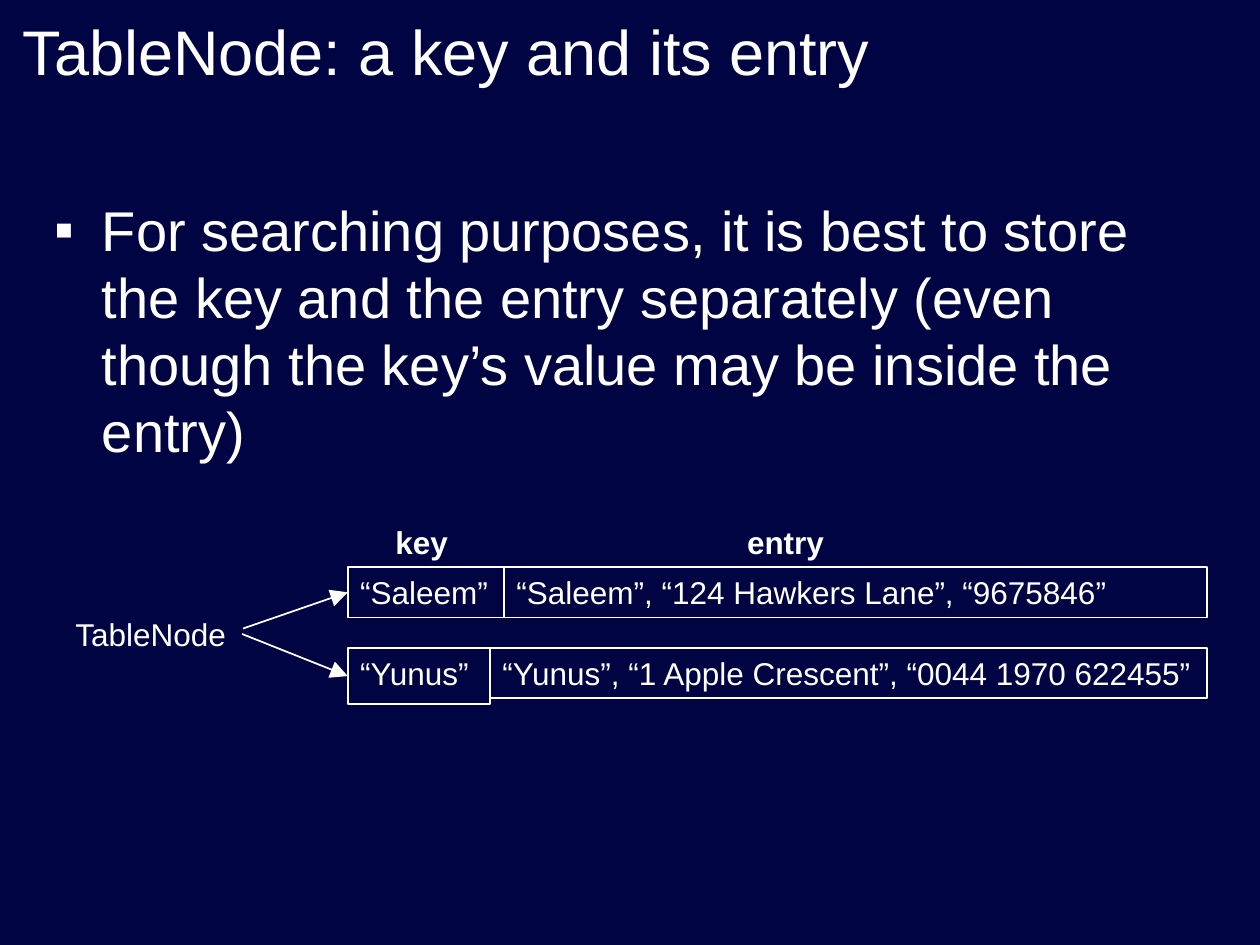
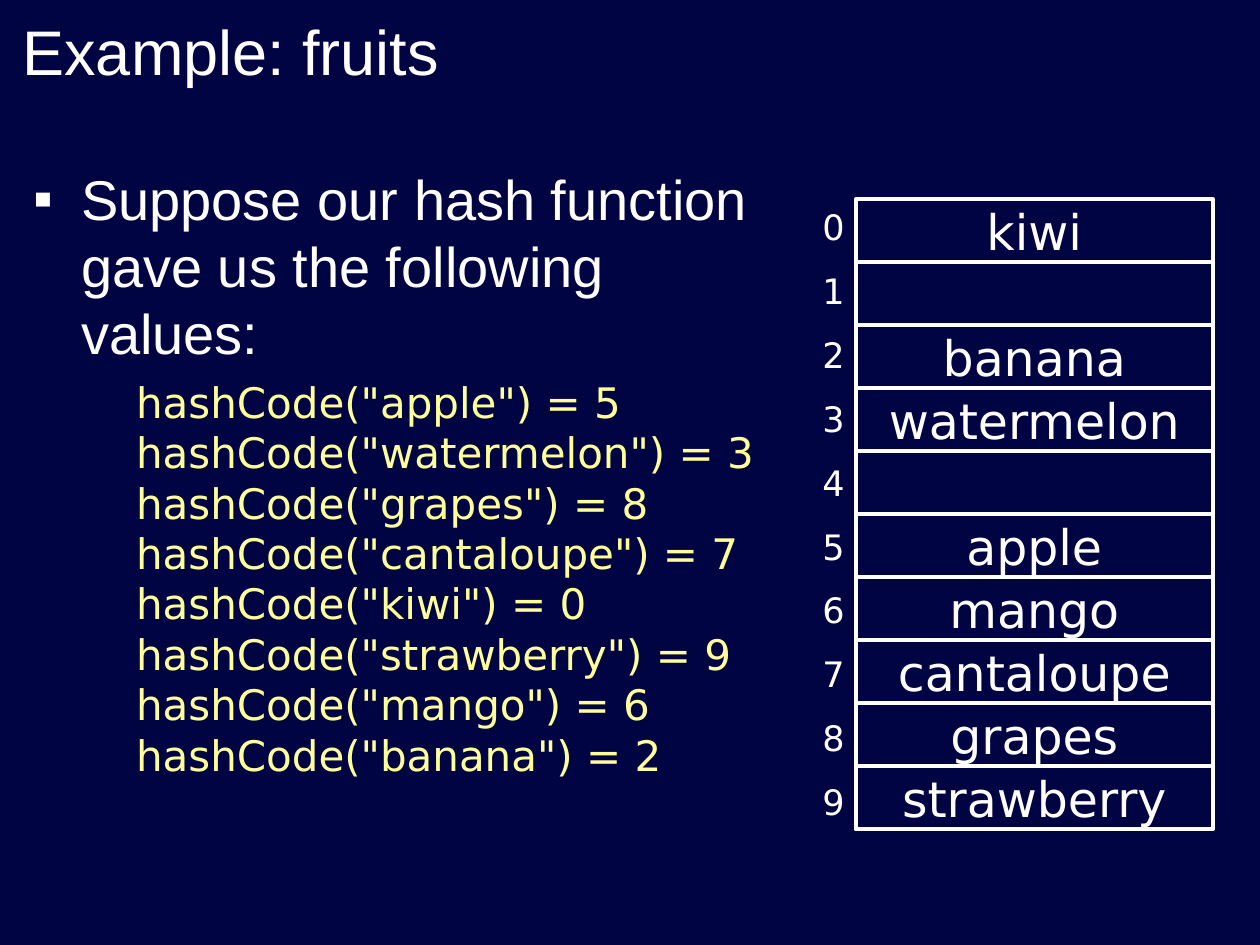
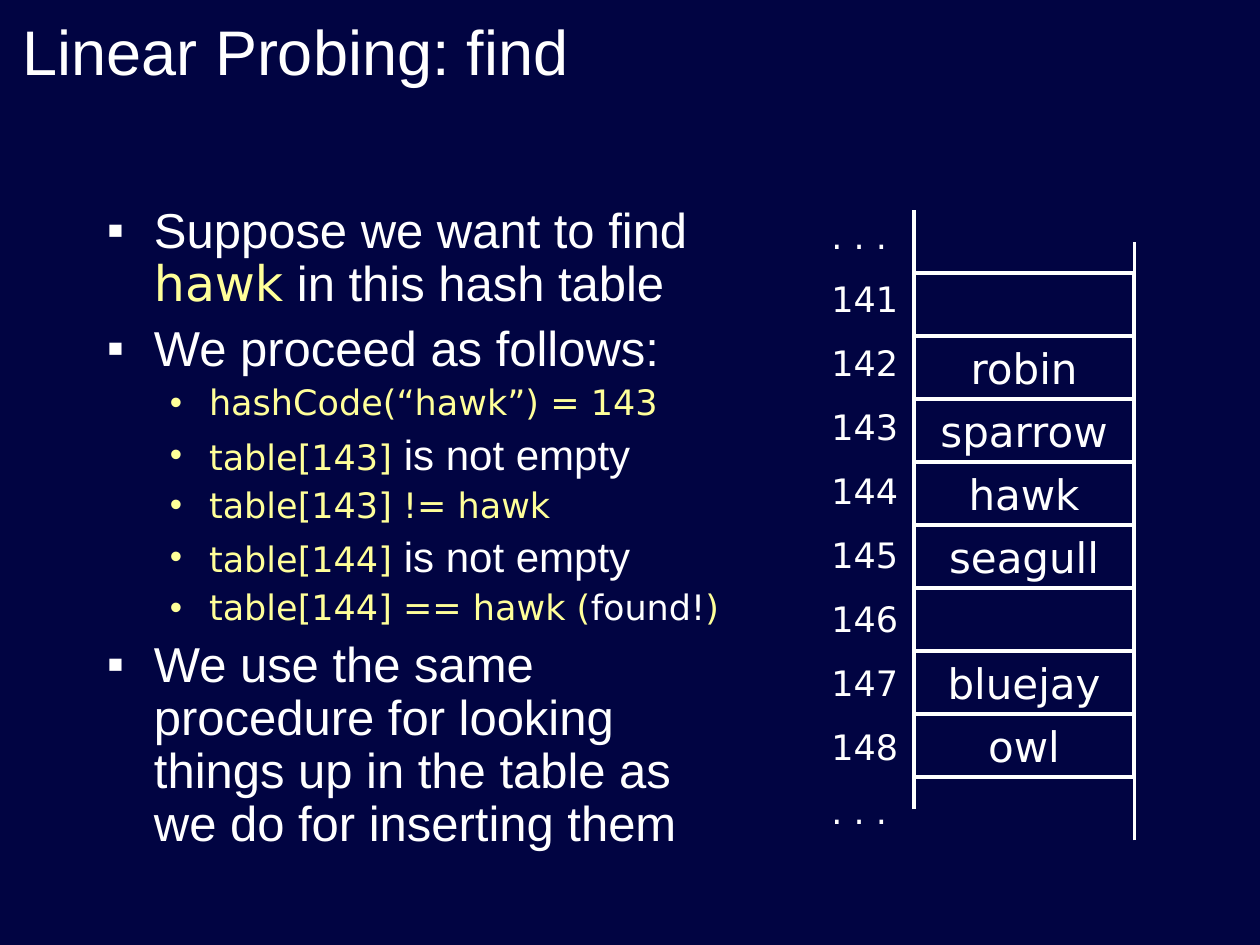
import copy
from dataclasses import dataclass

import lxml.etree
import pptx
import pptx.dml.color
import pptx.enum.shapes
import pptx.enum.text
import pptx.oxml.ns
import pptx.util

Cm = pptx.util.Cm
Pt = pptx.util.Pt
qn = pptx.oxml.ns.qn
MSO_SHAPE = pptx.enum.shapes.MSO_SHAPE
ANCHOR = pptx.enum.text.MSO_ANCHOR
ALIGN = pptx.enum.text.PP_ALIGN


@dataclass(frozen=True)
class Theme:
    background: str = "010442"
    white: str = "FFFFFF"
    yellow: str = "FFFF99"
    text_font: str = "Arial"
    code_font: str = "DejaVu Sans"
    title_size: int = 36
    large: int = 32
    medium: int = 28
    small: int = 24
    index: int = 20
    diagram: int = 18
    thin: float = 1
    thick: float = 2.25


THEME = Theme()
STYLES = {
    "text": (THEME.text_font, THEME.white),
    "code": (THEME.code_font, THEME.yellow),
    "cell": (THEME.code_font, THEME.white),
}
LEVELS = [
    {"margin": 0.95, "hanging": 0.95, "bullet": "▪", "color": THEME.white},
    {"margin": 2.06, "hanging": 0.79, "bullet": "•", "color": THEME.yellow},
]
TITLE_BOX = (0.2, 0.2, 23.01, 1.7)
CELL_HEIGHT = 1.27
INDEX_GAP = 12.5

NODE_TITLE = "TableNode: a key and its entry"
NODE_BODY_BOX = (0.85, 3.81, 23.5, 12.9)
NODE_BODY = [
    (0, 0, [("For searching purposes, it is best to store the key and the entry separately "
             "(even though the key’s value may be inside the entry)", "text", THEME.large)]),
]
NODE_LEFT, NODE_RIGHT, NODE_HEIGHT = 7.01, 24.33, 1.02
NODE_ROWS = [
    {"top": 11.43, "key": "“Saleem”", "key_size": (3.15, 1.02),
     "entry": "“Saleem”, “124 Hawkers Lane”, “9675846”"},
    {"top": 13.06, "key": "“Yunus”", "key_size": (2.87, 1.14),
     "entry": "“Yunus”, “1 Apple Crescent”, “0044 1970 622455”"},
]
NODE_HEADINGS = [("key", (7.72, 10.41, 1.8, 1.02)), ("entry", (14.81, 10.41, 2.3, 1.02))]
NODE_LABEL = ("TableNode", (1.27, 12.27, 3.61, 1.02))
FIRST_ARROW_START = (4.9, 12.67)

FRUIT_TITLE = "Example: fruits"
FRUIT_BODY_BOX = (0.43, 3.18, 15.67, 15.04)
FRUIT_HASHES = [("apple", 5), ("watermelon", 3), ("grapes", 8), ("cantaloupe", 7),
                ("kiwi", 0), ("strawberry", 9), ("mango", 6), ("banana", 2)]
FRUIT_LINES = [f'hashCode("{fruit}") = {code}' for fruit, code in FRUIT_HASHES]
FRUIT_BODY = [
    (0, 0, [("Suppose our hash function gave us the following values:", "text", THEME.large)]),
    (1, 6, [("\n".join(FRUIT_LINES), "code", THEME.small)]),
]
FRUIT_SLOTS = {code: fruit for fruit, code in FRUIT_HASHES}
FRUIT_CELLS = [FRUIT_SLOTS.get(slot, "") for slot in range(10)]
FRUIT_INDEXES = [str(slot) for slot in range(10)]

PROBE_TITLE = "Linear Probing: find"
PROBE_BODY_BOX = (1.9, 4.02, 13.34, 14.18)
PROBE_BODY = [
    (0, 0, [("Suppose we want to find ", "text", THEME.medium), ("hawk", "code", THEME.medium),
            (" in this hash table", "text", THEME.medium)]),
    (0, 7, [("We proceed as follows:", "text", THEME.medium)]),
    (1, 5, [("hashCode(“hawk”) = 143", "code", THEME.index)]),
    (1, 6, [("table[143]", "code", THEME.index), (" is not empty", "text", THEME.small)]),
    (1, 5, [("table[143] != hawk", "code", THEME.index)]),
    (1, 6, [("table[144]", "code", THEME.index), (" is not empty", "text", THEME.small)]),
    (1, 5, [("table[144] == hawk (", "code", THEME.index), ("found!", "cell", THEME.index),
            (")", "code", THEME.index)]),
    (0, 7, [("We use the same procedure for looking things up in the table as we do for "
             "inserting them", "text", THEME.medium)]),
]
PROBE_CELLS = ["", "robin", "sparrow", "hawk", "seagull", "", "bluejay", "owl"]
PROBE_INDEXES = [". . .", *(str(slot) for slot in range(141, 149)), ". . ."]
PROBE_LEFT, PROBE_TOP, PROBE_WIDTH = 18.42, 5.51, 4.45
PROBE_SIDES = [(PROBE_LEFT, 16.31, 4.24), (PROBE_LEFT + PROBE_WIDTH, 16.94, 4.88)]


def rgb(color):
    return pptx.dml.color.RGBColor.from_string(color)


def lengths(values):
    return [Cm(value) for value in values]


def add_text(paragraph, text, style, size, bold=False):
    font_name, color = STYLES[style]
    for number, line in enumerate(text.split("\n")):
        if number:
            paragraph.add_line_break()
            paragraph._p[-1].append(copy.deepcopy(run._r.rPr))
        run = paragraph.add_run()
        run.text = line
        run.font.name = font_name
        run.font.size = Pt(size)
        run.font.bold = bold
        run.font.color.rgb = rgb(color)


def place(shape, box):
    shape.left, shape.top, shape.width, shape.height = lengths(box)


def set_bullet(paragraph, level, visible):
    properties = paragraph._p.get_or_add_pPr()
    properties.set("marL", str(Cm(level["margin"])))
    properties.set("indent", str(-Cm(level["hanging"]) if visible else 0))
    if not visible:
        lxml.etree.SubElement(properties, qn("a:buNone"))
        return
    bullet_color = lxml.etree.SubElement(properties, qn("a:buClr"))
    lxml.etree.SubElement(bullet_color, qn("a:srgbClr"), val=level["color"])
    lxml.etree.SubElement(properties, qn("a:buFont"), typeface=THEME.text_font)
    lxml.etree.SubElement(properties, qn("a:buChar"), char=level["bullet"])


def add_slide(presentation, title, body_box, body, line_spacing=1.0):
    slide = presentation.slides.add_slide(presentation.slide_layouts[1])
    heading, content = slide.shapes.title, slide.placeholders[1]
    place(heading, TITLE_BOX)
    place(content, body_box)
    for frame, anchor in ((heading.text_frame, ANCHOR.BOTTOM), (content.text_frame, ANCHOR.TOP)):
        frame.vertical_anchor = anchor
        frame.word_wrap = True
        frame.auto_size = pptx.enum.text.MSO_AUTO_SIZE.NONE
    paragraph = heading.text_frame.paragraphs[0]
    paragraph.alignment = ALIGN.LEFT
    add_text(paragraph, title, "text", THEME.title_size)
    for number, (level, space_before, runs) in enumerate(body):
        frame = content.text_frame
        paragraph = frame.add_paragraph() if number else frame.paragraphs[0]
        paragraph.level = level
        set_bullet(paragraph, LEVELS[level], "\n" not in runs[0][0])
        paragraph.space_before = Pt(space_before)
        paragraph.line_spacing = line_spacing
        for run in runs:
            add_text(paragraph, *run)
    return slide


def add_box(slide, preset, box, text, style, size, line_width, centered=False):
    shape = slide.shapes.add_shape(preset, *lengths(box))
    shape.shadow.inherit = False
    shape.fill.background()
    shape.line.color.rgb = rgb(THEME.white)
    shape.line.width = Pt(line_width)
    frame = shape.text_frame
    frame.word_wrap = not centered
    frame.vertical_anchor = ANCHOR.MIDDLE if centered else ANCHOR.TOP
    frame.paragraphs[0].alignment = ALIGN.CENTER if centered else ALIGN.LEFT
    if text:
        add_text(frame.paragraphs[0], text, style, size)
    return shape


def add_label(slide, box, lines, style, size, gap=0, bold=False):
    label = slide.shapes.add_textbox(*lengths(box))
    frame = label.text_frame
    frame.word_wrap = True
    for number, line in enumerate(lines):
        paragraph = frame.add_paragraph() if number else frame.paragraphs[0]
        paragraph.space_before = Pt(gap if number else 0)
        add_text(paragraph, line, style, size, bold)
    return label


def add_line(slide, start, end, width, arrow=False):
    line = slide.shapes.add_connector(
        pptx.enum.shapes.MSO_CONNECTOR.STRAIGHT, *lengths(start + end))
    line.line.color.rgb = rgb(THEME.white)
    line.line.width = Pt(width)
    if arrow:
        lxml.etree.SubElement(line.line._get_or_add_ln(), qn("a:tailEnd"),
                              type="triangle", w="lg", len="lg")
    lxml.etree.SubElement(line._element.spPr, qn("a:effectLst"))
    return line


def add_hash_table(slide, left, top, width, cells, size, index_box, indexes):
    for row, text in enumerate(cells):
        box = (left, top + row * CELL_HEIGHT, width, CELL_HEIGHT)
        add_box(slide, MSO_SHAPE.FLOWCHART_PROCESS, box, text, "cell", size, THEME.thick, True)
    add_label(slide, index_box, indexes, "cell", THEME.index, INDEX_GAP)


def add_node_diagram(slide):
    key_boxes = []
    for row in NODE_ROWS:
        key_width, key_height = row["key_size"]
        entry_left = NODE_LEFT + key_width
        boxes = [
            (row["key"], (NODE_LEFT, row["top"], key_width, key_height)),
            (row["entry"], (entry_left, row["top"], NODE_RIGHT - entry_left, NODE_HEIGHT)),
        ]
        key_box, _ = [add_box(slide, MSO_SHAPE.RECTANGLE, box, text, "text",
                              THEME.diagram, THEME.thin) for text, box in boxes]
        key_boxes.append(key_box)
    for text, box in NODE_HEADINGS:
        add_label(slide, box, [text], "text", THEME.diagram, bold=True)
    text, box = NODE_LABEL
    node_label = add_label(slide, box, [text], "text", THEME.diagram)
    arrows = []
    for key_box in key_boxes:
        arrow = add_line(slide, FIRST_ARROW_START, (NODE_LEFT, NODE_ROWS[0]["top"]),
                         THEME.thin, arrow=True)
        arrow.end_connect(key_box, 1)
        arrows.append(arrow)
    arrows[1].begin_connect(node_label, 3)


def main():
    presentation = pptx.Presentation()
    presentation.slide_width, presentation.slide_height = Cm(25.4), Cm(19.05)
    background = presentation.slide_master.background.fill
    background.solid()
    background.fore_color.rgb = rgb(THEME.background)

    node_slide = add_slide(presentation, NODE_TITLE, NODE_BODY_BOX, NODE_BODY)
    add_node_diagram(node_slide)

    fruit_slide = add_slide(presentation, FRUIT_TITLE, FRUIT_BODY_BOX, FRUIT_BODY)
    add_hash_table(fruit_slide, 17.25, 4.02, 7.2, FRUIT_CELLS, THEME.medium,
                   (16.33, 4.02, 0.92, 12.7), FRUIT_INDEXES)

    probe_slide = add_slide(presentation, PROBE_TITLE, PROBE_BODY_BOX, PROBE_BODY, 0.9)
    add_hash_table(probe_slide, PROBE_LEFT, PROBE_TOP, PROBE_WIDTH, PROBE_CELLS, THEME.small,
                   (16.51, 4.19, 1.9, 12.7), PROBE_INDEXES)
    for left, bottom, top in PROBE_SIDES:
        add_line(probe_slide, (left, bottom), (left, top), THEME.thick)

    presentation.save("out.pptx")


if __name__ == "__main__":
    main()
